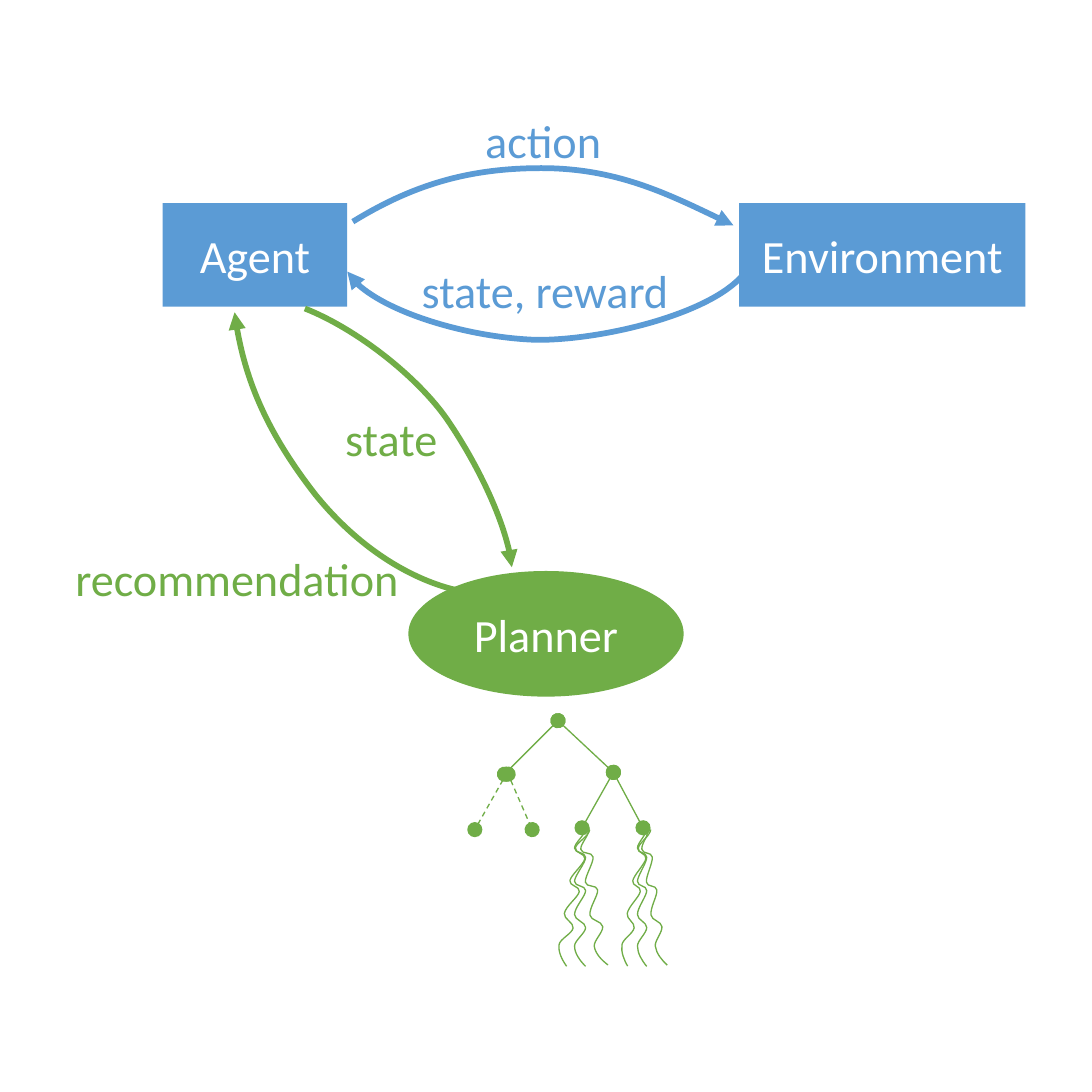
"""Planning diagram: an agent, its environment, and a planner with a search tree."""
from lxml import etree
from pptx import Presentation
from pptx.dml.color import RGBColor
from pptx.enum.dml import MSO_LINE
from pptx.enum.shapes import MSO_CONNECTOR, MSO_SHAPE
from pptx.enum.text import MSO_ANCHOR, PP_ALIGN
from pptx.oxml.ns import qn
from pptx.util import Inches, Pt

RECT, OVAL = MSO_SHAPE.RECTANGLE, MSO_SHAPE.OVAL
STRAIGHT, DASH = MSO_CONNECTOR.STRAIGHT, MSO_LINE.DASH
CENTER, LEFT = PP_ALIGN.CENTER, PP_ALIGN.LEFT
MIDDLE = MSO_ANCHOR.MIDDLE
COLORS = {"blue": "5B9BD5", "green": "70AD47", "white": "FFFFFF"}

prs = Presentation()
prs.slide_width = prs.slide_height = Inches(5.91)
slide = prs.slides.add_slide(prs.slide_layouts[6])
shapes = slide.shapes


def write(shape, text, color, align):
    """Put one line of 18 pt text in a shape."""
    frame = shape.text_frame
    frame.word_wrap = True
    paragraph = frame.paragraphs[0]
    paragraph.text = text
    paragraph.alignment = align
    font = paragraph.runs[0].font
    font.name, font.size = "Calibri", Pt(18)
    font.color.rgb = RGBColor.from_string(COLORS[color])


def draw_curve(start, segments, color, width):
    """Draw an open Bezier curve; each segment is two controls and an end."""
    builder = shapes.build_freeform(Inches(start[0]), Inches(start[1]))
    ends = [(Inches(x), Inches(y)) for *_, (x, y) in segments]
    builder.add_line_segments(ends, close=False)
    curve = builder.convert_to_shape()
    for line_to, segment in zip(list(curve._element.iter(qn("a:lnTo"))), segments):
        bezier = etree.Element(qn("a:cubicBezTo"))
        for x, y in segment:
            etree.SubElement(bezier, qn("a:pt"), x=str(Inches(x) - curve.left),
                             y=str(Inches(y) - curve.top))
        line_to.getparent().replace(line_to, bezier)
    curve.shadow.inherit = False
    curve.fill.background()
    curve.line.color.rgb = RGBColor.from_string(COLORS[color])
    curve.line.width = Pt(width)
    return curve


for name, kind, color, box in [
    ("Agent", RECT, "blue", (0.88, 1.1, 1, 0.56)),
    ("Environment", RECT, "blue", (4, 1.1, 1.55, 0.56)),
    ("Planner", OVAL, "green", (2.21, 3.09, 1.49, 0.68)),
]:
    node = shapes.add_shape(kind, *map(Inches, box))
    node.shadow.inherit = False
    node.fill.solid()
    node.fill.fore_color.rgb = RGBColor.from_string(COLORS[color])
    node.line.fill.background()
    node.text_frame.vertical_anchor = MIDDLE
    write(node, name, "white", CENTER)

for color, start, segments in [
    ("blue", (4.02, 1.49), [((3.84, 1.7), (3.27, 1.84), (2.91, 1.84)),
                            ((2.56, 1.83), (1.99, 1.67), (1.88, 1.47))]),
    ("green", (1.65, 1.67), [((1.93, 1.78), (2.26, 2.04), (2.42, 2.27)),
                             ((2.57, 2.49), (2.75, 2.85), (2.77, 3.07))]),
    ("blue", (1.91, 1.2), [((2.22, 1.01), (2.52, 0.91), (2.93, 0.91)),
                           ((3.33, 0.91), (3.66, 1.07), (3.97, 1.22))]),
    ("green", (2.57, 3.21), [((2.36, 3.19), (2.01, 3.05), (1.71, 2.68)),
                             ((1.42, 2.31), (1.3, 1.95), (1.27, 1.69))]),
]:
    arrow = draw_curve(start, segments, color, 2.25)
    etree.SubElement(arrow.line._get_or_add_ln(), qn("a:tailEnd"), type="triangle")

for label, color, align, box in [
    ("state, reward", "blue", CENTER, (1.88, 1.37, 2.14, 0.4)),
    ("state", "green", LEFT, (1.77, 2.17, 0.9, 0.4)),
    ("action", "blue", CENTER, (1.91, 0.56, 2.06, 0.4)),
    ("recommendation", "green", LEFT, (0.31, 2.93, 2.13, 0.4)),
]:
    write(shapes.add_textbox(*map(Inches, box)), label, color, align)

root, right_child = (3.02, 3.9), (3.32, 4.18)
for parent, child, dashed in [
    (root, (2.73, 4.19), False),
    (root, right_child, False),
    (right_child, (3.15, 4.48), False),
    (right_child, (3.48, 4.48), False),
    ((2.74, 4.19), (2.57, 4.49), True),
    ((2.75, 4.19), (2.88, 4.49), True),
]:
    branch = shapes.add_connector(STRAIGHT, *map(Inches, parent + child))
    branch.line.color.rgb = RGBColor.from_string(COLORS["green"])
    branch.line.width = Pt(0.5)
    if dashed:
        branch.line.dash_style = DASH
    for end in ("a:headEnd", "a:tailEnd"):
        etree.SubElement(branch.line._get_or_add_ln(), qn(end), type="oval")
    etree.SubElement(branch._element.spPr, qn("a:effectLst"))

rollout_steps = [
    ((1, 4.52), (0, 4.56), (0, 4.59)), ((0, 4.62), (1, 4.61), (1, 4.64)),
    ((1, 4.67), (0, 4.74), (0, 4.77)), ((0, 4.8), (1, 4.79), (1, 4.82)),
    ((1, 4.85), (0, 4.91), (0, 4.95)), ((0, 4.98), (1, 4.99), (1, 5.02)),
    ((1, 5.05), (0, 5.09), (0, 5.12)), ((0, 5.16), (0.5, 5.2), (1, 5.23)),
]
for leaf_left, width in [(3.11, 0.06), (3.45, 0.05)]:
    for shift, angle in [(0, 0), (width + 0.01, 352.1), (-0.04, 9.6)]:
        left = leaf_left + shift
        segments = [[(left + side * width, y) for side, y in step]
                    for step in rollout_steps]
        rollout = draw_curve((left + width, 4.48), segments, "green", 0.5)
        rollout.rotation = angle

prs.save("out.pptx")
